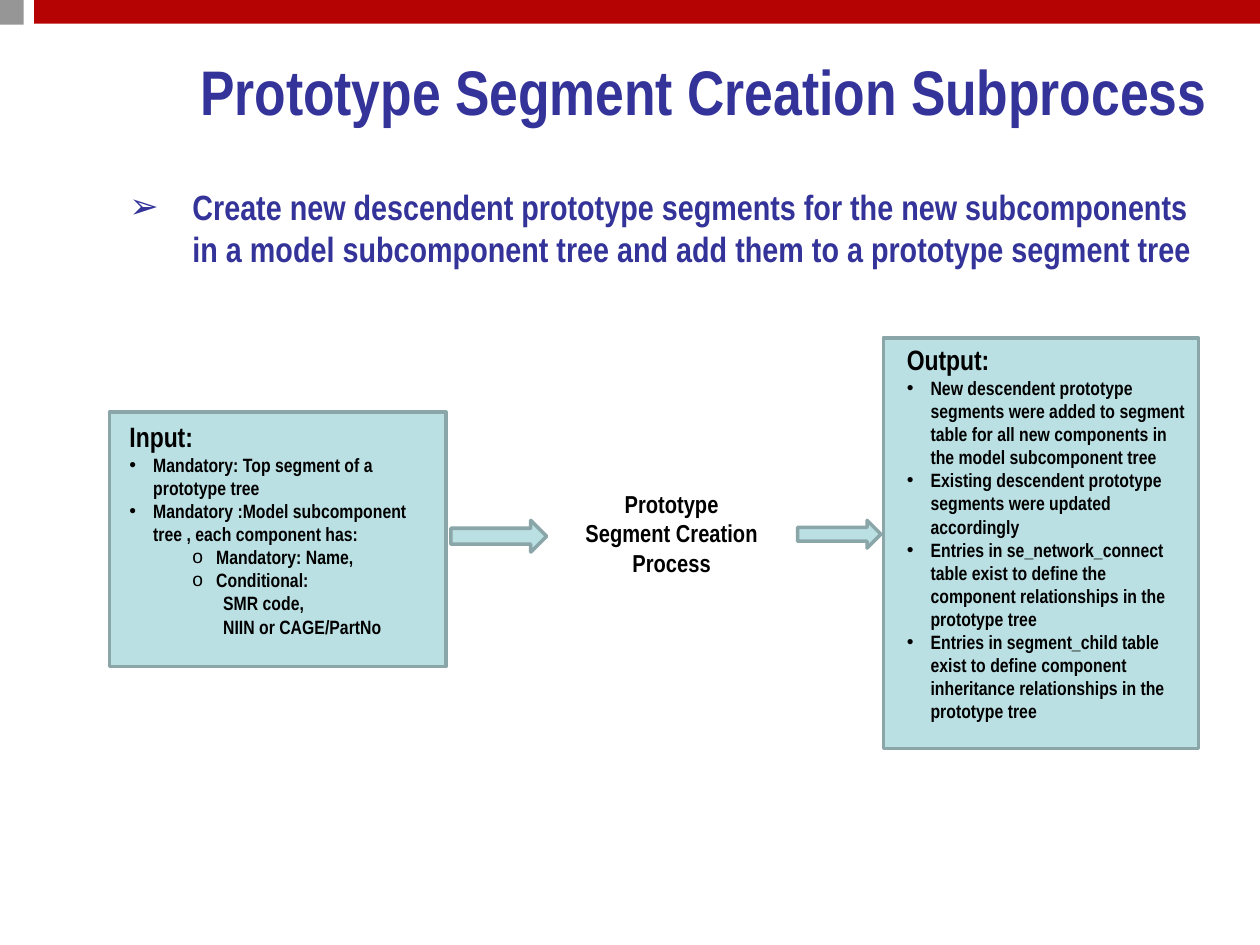
from lxml.etree import SubElement
from pptx import Presentation
from pptx.dml.color import RGBColor
from pptx.enum.shapes import MSO_SHAPE as SHAPE
from pptx.enum.text import MSO_ANCHOR as ANCHOR, PP_ALIGN as ALIGN
from pptx.oxml.ns import qn
from pptx.util import Cm, Pt

COLORS = {"red": "B50303", "gray": "969696", "teal": "BBE0E3",
          "edge": "8AA6A8", "navy": "333399", "black": "000000"}
FONT = "Arial Narrow"

prs = Presentation()
prs.slide_width, prs.slide_height = Cm(25.4), Cm(19.05)
s = prs.slides.add_slide(prs.slide_layouts[6])


def add_block(kind, box, fill, line=None):
    sp = s.shapes.add_shape(kind, *map(Cm, box))
    sp.shadow.inherit = False
    sp.fill.solid()
    sp.fill.fore_color.rgb = RGBColor.from_string(COLORS[fill])
    if line:
        sp.line.color.rgb = RGBColor.from_string(COLORS[line])
        sp.line.width = Pt(2)
    else:
        sp.line.fill.background()


def add_text(tf, text, size, color="black", align=ALIGN.LEFT,
             bullet=None, left=0, hang=0):
    """Fill the empty first paragraph, or append one; left and hang are in cm."""
    p = tf.paragraphs[0] if not tf.text else tf.add_paragraph()
    p.alignment = align
    pPr = p._p.get_or_add_pPr()
    pPr.set("marL", str(Cm(left)))
    pPr.set("indent", str(-Cm(hang)))
    if bullet:
        SubElement(pPr, qn("a:buFont"), typeface="Arial")
        SubElement(pPr, qn("a:buChar"), char=bullet)
    r = p.add_run()
    r.text = text
    r.font.name, r.font.size, r.font.bold = FONT, Pt(size), True
    r.font.color.rgb = RGBColor.from_string(COLORS[color])


# Header bars
add_block(SHAPE.RECTANGLE, (0.69, 0, 24.71, 0.48), "red")
add_block(SHAPE.RECTANGLE, (0, 0, 0.48, 0.5), "gray")

# Input and output panels, and the arrows through the process
for box in ((2.21, 8.31, 6.78, 5.13), (17.81, 6.81, 6.35, 8.28)):
    add_block(SHAPE.RECTANGLE, box, "teal", "edge")
for box in ((9.09, 10.49, 1.93, 0.64), (16.08, 10.49, 1.68, 0.56)):
    add_block(SHAPE.RIGHT_ARROW, box, "teal", "edge")

# Text frames
frames = {}
for name, box in {
    "title": (3.61, 1.07, 21.16, 1.5),
    "goal": (2.36, 3.61, 22.23, 2.34),
    "input": (2.36, 8.33, 6.63, 4.7),
    "output": (18.03, 6.78, 6.15, 8),
    "process": (11.43, 9.73, 4.22, 2.06),
}.items():
    frames[name] = s.shapes.add_textbox(*map(Cm, box)).text_frame
    frames[name].word_wrap = True
frames["title"].vertical_anchor = ANCHOR.MIDDLE

add_text(frames["title"], "Prototype Segment Creation Subprocess", 36,
         color="navy", align=ALIGN.CENTER)
add_text(frames["goal"],
         "Create new descendent prototype segments for the new subcomponents "
         "in a model subcomponent tree and add them to a prototype segment tree",
         20, color="navy", bullet="➢", left=1.27, hang=1.27)
add_text(frames["process"], "Prototype Segment Creation Process", 14,
         align=ALIGN.CENTER)

ITEM = {"bullet": "•", "left": 0.48, "hang": 0.48}
SUBITEM = {"bullet": "o", "left": 1.75, "hang": 0.48}
DETAIL = {"left": 1.89}

add_text(frames["input"], "Input:", 16)
for text, style in (
    ("Mandatory: Top segment of a prototype tree", ITEM),
    ("Mandatory :Model subcomponent tree , each component has:", ITEM),
    ("Mandatory: Name,", SUBITEM),
    ("Conditional:", SUBITEM),
    ("SMR code,", DETAIL),
    ("NIIN or CAGE/PartNo", DETAIL),
):
    add_text(frames["input"], text, 11, **style)

add_text(frames["output"], "Output:", 16)
for text in (
    "New descendent prototype segments were added to segment table "
    "for all new components in the model subcomponent tree",
    "Existing descendent prototype segments were updated accordingly",
    "Entries in se_network_connect table exist to define the component "
    "relationships in the prototype tree",
    "Entries in segment_child table exist to define component "
    "inheritance relationships in the prototype tree",
):
    add_text(frames["output"], text, 11, **ITEM)

prs.save("out.pptx")
